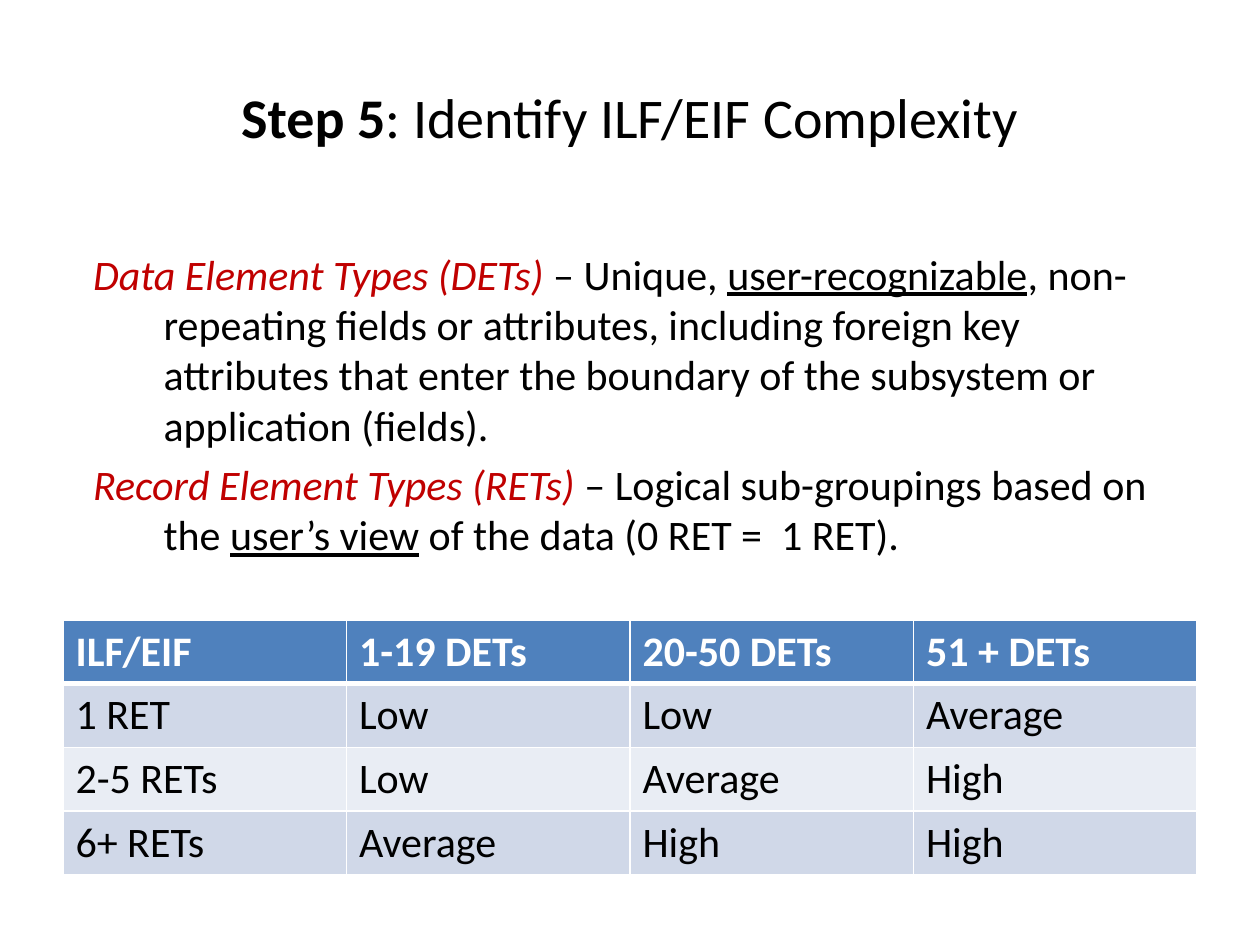
import pptx
import pptx.dml.color
import pptx.enum.text
import pptx.oxml.ns
import pptx.util
from lxml import etree

COLORS = {
    "text": "000000",
    "term": "C00000",
    "white": "FFFFFF",
    "header": "4F81BD",
    "odd_row": "D0D8E8",
    "even_row": "E9EDF4",
}
FONT = "Calibri"
WIDTH, HEIGHT = pptx.util.Inches(10), pptx.util.Inches(7.5)

TITLE = [("Step 5", "bold"), (": Identify ILF/EIF Complexity", "")]
DEFINITIONS = [
    [
        ("Data Element Types (DETs) ", "term"),
        ("– Unique, ", ""),
        ("user-recognizable", "underline"),
        (", non-repeating fields or attributes, including foreign key attributes "
         "that enter the boundary of the subsystem or application (fields).", ""),
    ],
    [
        ("Record Element Types (RETs) ", "term"),
        ("– Logical sub-groupings based on the ", ""),
        ("user’s view", "underline"),
        (" of the data (0 RET =  1 RET).", ""),
    ],
]
COMPLEXITY = [
    ["ILF/EIF", "1-19 DETs", "20-50 DETs", "51 + DETs"],
    ["1 RET", "Low", "Low", "Average"],
    ["2-5 RETs", "Low", "Average", "High"],
    ["6+ RETs", "Average", "High", "High"],
]


def color(name):
    return pptx.dml.color.RGBColor.from_string(COLORS[name])


class SlideBuilder:
    def __init__(self, presentation):
        self.slide = presentation.slides.add_slide(presentation.slide_layouts[5])

    def box(self, left, top, width, height):
        return (round(left * WIDTH), round(top * HEIGHT),
                round(width * WIDTH), round(height * HEIGHT))

    def style(self, font, size, color_name="text", bold=False):
        font.name = FONT
        font.size = pptx.util.Pt(size)
        font.bold = bold
        font.color.rgb = color(color_name)

    def add_runs(self, paragraph, parts, size):
        for text, role in parts:
            run = paragraph.add_run()
            run.text = text
            self.style(run.font, size, "term" if role == "term" else "text", role == "bold")
            run.font.italic = role == "term"
            run.font.underline = role == "underline"

    def title(self, parts, *place):
        shape = self.slide.shapes.title
        shape.left, shape.top, shape.width, shape.height = self.box(*place)
        shape.text_frame.vertical_anchor = pptx.enum.text.MSO_ANCHOR.MIDDLE
        paragraph = shape.text_frame.paragraphs[0]
        paragraph.alignment = pptx.enum.text.PP_ALIGN.CENTER
        self.add_runs(paragraph, parts, 32)

    def definitions(self, entries, *place):
        text_frame = self.slide.shapes.add_textbox(*self.box(*place)).text_frame
        text_frame.word_wrap = True
        for index, parts in enumerate(entries):
            paragraph = text_frame.add_paragraph() if index else text_frame.paragraphs[0]
            paragraph.space_before = pptx.util.Pt(4.8 if index else 0)
            properties = paragraph._p.get_or_add_pPr()
            properties.set("marL", str(pptx.util.Inches(0.62)))
            properties.set("indent", str(pptx.util.Inches(-0.56)))
            self.add_runs(paragraph, parts, 24)

    def borders(self, cell, widths):
        properties = cell._tc.get_or_add_tcPr()
        for side, width in widths.items():
            line = etree.SubElement(properties, pptx.oxml.ns.qn(f"a:ln{side}"),
                                    w=str(pptx.util.Pt(width)))
            fill = etree.SubElement(line, pptx.oxml.ns.qn("a:solidFill"))
            etree.SubElement(fill, pptx.oxml.ns.qn("a:srgbClr"), val=COLORS["white"])

    def table(self, rows, *place):
        frame = self.slide.shapes.add_table(len(rows), len(rows[0]), *self.box(*place))
        for row, values in enumerate(rows):
            header = row == 0
            fill = "header" if header else "odd_row" if row % 2 else "even_row"
            for column, text in enumerate(values):
                cell = frame.table.cell(row, column)
                self.borders(cell, {"L": 1, "R": 1, "T": 3 if row == 1 else 1,
                                    "B": 3 if header else 1})
                cell.fill.solid()
                cell.fill.fore_color.rgb = color(fill)
                cell.text_frame.text = text
                self.style(cell.text_frame.paragraphs[0].runs[0].font, 24,
                           "white" if header else "text", header)


def main():
    presentation = pptx.Presentation()
    presentation.slide_width, presentation.slide_height = WIDTH, HEIGHT
    builder = SlideBuilder(presentation)
    builder.title(TITLE, 0.05, 0.04, 0.9, 1 / 6)
    builder.definitions(DEFINITIONS, 0.058, 0.256, 0.9, 0.356)
    builder.table(COMPLEXITY, 0.05, 0.656, 0.9, 0.27)
    presentation.save("out.pptx")


if __name__ == "__main__":
    main()
